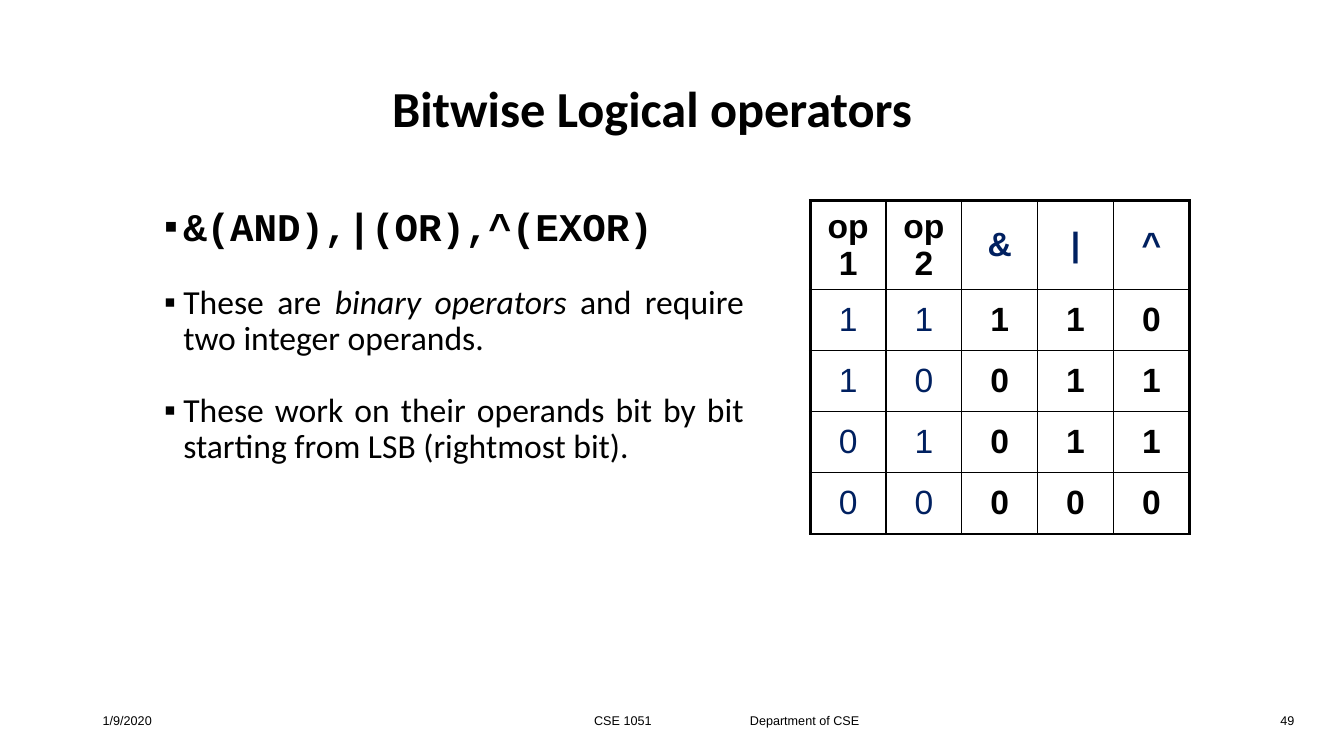
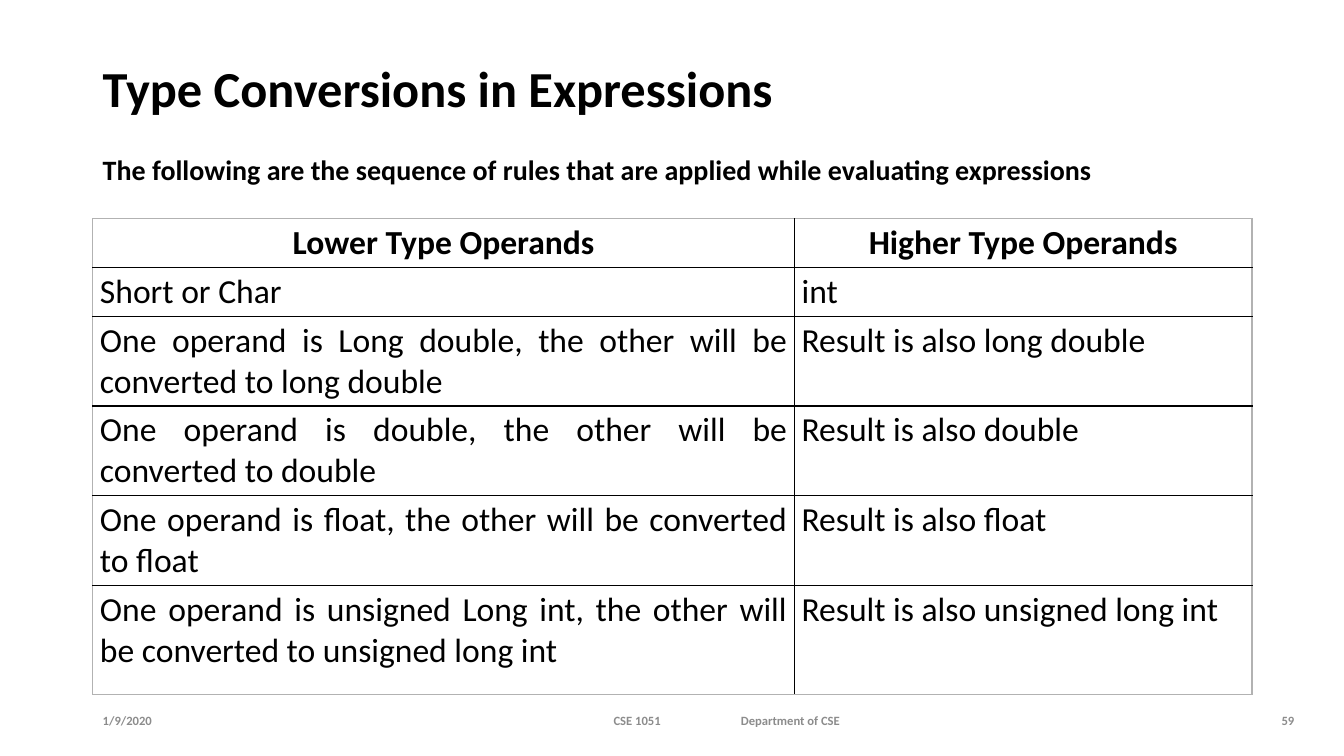
import pptx
import pptx.util
import pptx.dml.color
import pptx.enum.text
import pptx.oxml
import pptx.oxml.ns

Cm = pptx.util.Cm
Pt = pptx.util.Pt
ALIGN = pptx.enum.text.PP_ALIGN
ANCHOR = pptx.enum.text.MSO_ANCHOR

COLORS = {"ink": "000000", "navy": "002060", "muted": "8C8C8C", "frame": "B2B2B2"}

TITLE = {"name": "Calibri", "size": 36, "bold": True, "color": "ink"}
SUBTITLE = {**TITLE, "size": 20}
BODY = {"name": "Calibri", "size": 24, "bold": False, "color": "ink"}
CODE = {"name": "Courier New", "size": 28, "bold": True, "color": "ink"}
TRUTH = {"name": "Arial", "size": 24, "bold": True, "color": "ink"}

DATE, COURSE, DEPARTMENT = "1/9/2020", "CSE 1051", "Department of CSE"
FOOTER_TOP, FOOTER_HEIGHT, FOOTER_MIDDLE = 17.65, 1.02, 17.66
PLAIN_FOOTER = {"name": "Arial", "size": 9, "bold": False, "color": "ink"}
MUTED_FOOTER = {"name": "Calibri", "size": 9, "bold": True, "color": "muted"}

BITWISE_POINTS = [
    [("&(AND),|(OR),^(EXOR)", CODE)],
    [
        ("These are ", BODY),
        ("binary operators ", {**BODY, "italic": True}),
        ("and require two integer operands.", BODY),
    ],
    [("These work on their operands bit by bit starting from LSB (rightmost bit).", BODY)],
]
TRUTH_ROWS = [
    ("op1", "op2", "&", "|", "^"),
    ("1", "1", "1", "1", "0"),
    ("1", "0", "0", "1", "1"),
    ("0", "1", "0", "1", "1"),
    ("0", "0", "0", "0", "0"),
]
CONVERSION_INTRO = "The following are the sequence of rules that are applied while evaluating expressions"
CONVERSION_ROWS = [
    ("Lower Type Operands", "Higher Type Operands"),
    ("Short or Char", "int"),
    ("One operand is Long double, the other will be converted to long double",
     "Result is also long double"),
    ("One operand is double, the other will be converted to double", "Result is also double"),
    ("One operand is float, the other will be converted to float", "Result is also float"),
    ("One operand is unsigned Long int, the other will be converted to unsigned long int",
     "Result is also unsigned long int"),
]


def set_font(font, style):
    for key, value in style.items():
        if key == "color":
            font.color.rgb = pptx.dml.color.RGBColor.from_string(COLORS[value])
        else:
            setattr(font, key, Pt(value) if key == "size" else value)


def write(para, spans, **layout):
    for key, value in layout.items():
        setattr(para, key, value)
    for text, style in spans:
        span = para.add_run()
        span.text = text
        set_font(span.font, style)


def add_text(page, place, paragraphs, anchor=ANCHOR.MIDDLE, inset=0.25, bullet=None, gap=0, **layout):
    box = page.shapes.add_textbox(*map(Cm, place))
    frame = box.text_frame
    frame.word_wrap = True
    frame.vertical_anchor = anchor
    frame.margin_left = frame.margin_right = Cm(inset)
    for index, spans in enumerate(paragraphs):
        para = frame.add_paragraph() if index else frame.paragraphs[0]
        if bullet:
            properties = para._p.get_or_add_pPr()
            properties.set("marL", str(Cm(0.48)))
            properties.set("indent", str(-Cm(0.48)))
            namespace = pptx.oxml.ns.nsdecls("a")
            for markup in (f'<a:buFont {namespace} typeface="Arial"/>',
                           f'<a:buChar {namespace} char="{bullet}"/>'):
                properties.append(pptx.oxml.parse_xml(markup))
        if index:
            para.space_before = Pt(gap)
        write(para, spans, **layout)


def add_border(cell, side, width, color):
    cell._tc.get_or_add_tcPr().append(pptx.oxml.parse_xml(
        f'<a:ln{side} {pptx.oxml.ns.nsdecls("a")} w="{Pt(width)}">'
        f'<a:solidFill><a:srgbClr val="{COLORS[color]}"/></a:solidFill></a:ln{side}>'))


def add_grid(page, corner, rows, widths, heights, insets, anchor, outer, cell_format):
    size = (sum(widths), sum(heights))
    table = page.shapes.add_table(len(rows), len(widths), *map(Cm, corner + size)).table
    table.first_row = table.horz_banding = False
    for column, width in zip(table.columns, widths):
        column.width = Cm(width)
    for line, height in zip(table.rows, heights):
        line.height = Cm(height)
    for r, texts in enumerate(rows):
        for c, text in enumerate(texts):
            cell = table.cell(r, c)
            cell.margin_left = cell.margin_right = Cm(insets[0])
            cell.margin_top = cell.margin_bottom = Cm(insets[1])
            cell.vertical_anchor = anchor
            edges = {"L": c == 0, "R": c == len(widths) - 1, "T": r == 0, "B": r == len(rows) - 1}
            for side, is_outer in edges.items():
                add_border(cell, side, *(outer if is_outer else (1, "ink")))
            cell.fill.background()
            style, alignment = cell_format(r, c)
            write(cell.text_frame.paragraphs[0], [(text, style)], alignment=alignment)


def truth_format(row, column):
    is_operand = column < 2
    color = "navy" if (row == 0) != is_operand else "ink"
    return {**TRUTH, "bold": row == 0 or not is_operand, "color": color}, ALIGN.CENTER


def conversion_format(row, column):
    if row == 0:
        return {**BODY, "bold": True}, ALIGN.CENTER
    return BODY, ALIGN.JUSTIFY


def add_page(deck, title, title_place, title_alignment, number, footer_style, footer_gap):
    page = deck.slides.add_slide(deck.slide_layouts[6])
    add_text(page, title_place, [[(title, TITLE)]], alignment=title_alignment, line_spacing=0.9)
    width = 6
    footers = [
        (DATE, 2.34, 3.2, 0.25, ALIGN.LEFT),
        (COURSE, FOOTER_MIDDLE - footer_gap / 2 - width, width, 0, ALIGN.RIGHT),
        (DEPARTMENT, FOOTER_MIDDLE + footer_gap / 2, width, 0, ALIGN.LEFT),
        (number, 31.55, 1.32, 0.25, ALIGN.RIGHT),
    ]
    for text, left, wide, inset, alignment in footers:
        add_text(page, (left, FOOTER_TOP, wide, FOOTER_HEIGHT), [[(text, footer_style)]],
                 inset=inset, alignment=alignment)
    return page


def main():
    deck = pptx.Presentation()
    deck.slide_width, deck.slide_height = Cm(33.87), Cm(19.05)

    page = add_page(deck, "Bitwise Logical operators", (2.34, 2.1, 28.2, 1.42), ALIGN.CENTER,
                    "49", PLAIN_FOOTER, 2.48)
    add_text(page, (3.89, 5.1, 15.11, 10.3), BITWISE_POINTS, anchor=ANCHOR.TOP, bullet="▪",
             gap=25.5, alignment=ALIGN.JUSTIFY, line_spacing=0.9)
    add_grid(page, (20.42, 5.06), TRUTH_ROWS, [1.91] * 5, [2.08] + [1.54] * 4, (0.36, 0.1),
             ANCHOR.MIDDLE, (2.25, "ink"), truth_format)

    page = add_page(deck, "Type Conversions in Expressions", (2.34, 1.42, 30.53, 1.75), ALIGN.LEFT,
                    "59", MUTED_FOOTER, 2.02)
    add_text(page, (2.34, 3.71, 26.24, 1.12), [[(CONVERSION_INTRO, SUBTITLE)]], anchor=ANCHOR.TOP)
    add_grid(page, (2.34, 5.51), CONVERSION_ROWS, [17.68, 11.53],
             [1.23] * 2 + [2.26] * 3 + [2.76], (0.18, 0.1), ANCHOR.TOP, (1, "frame"),
             conversion_format)

    deck.save("out.pptx")


if __name__ == "__main__":
    main()
